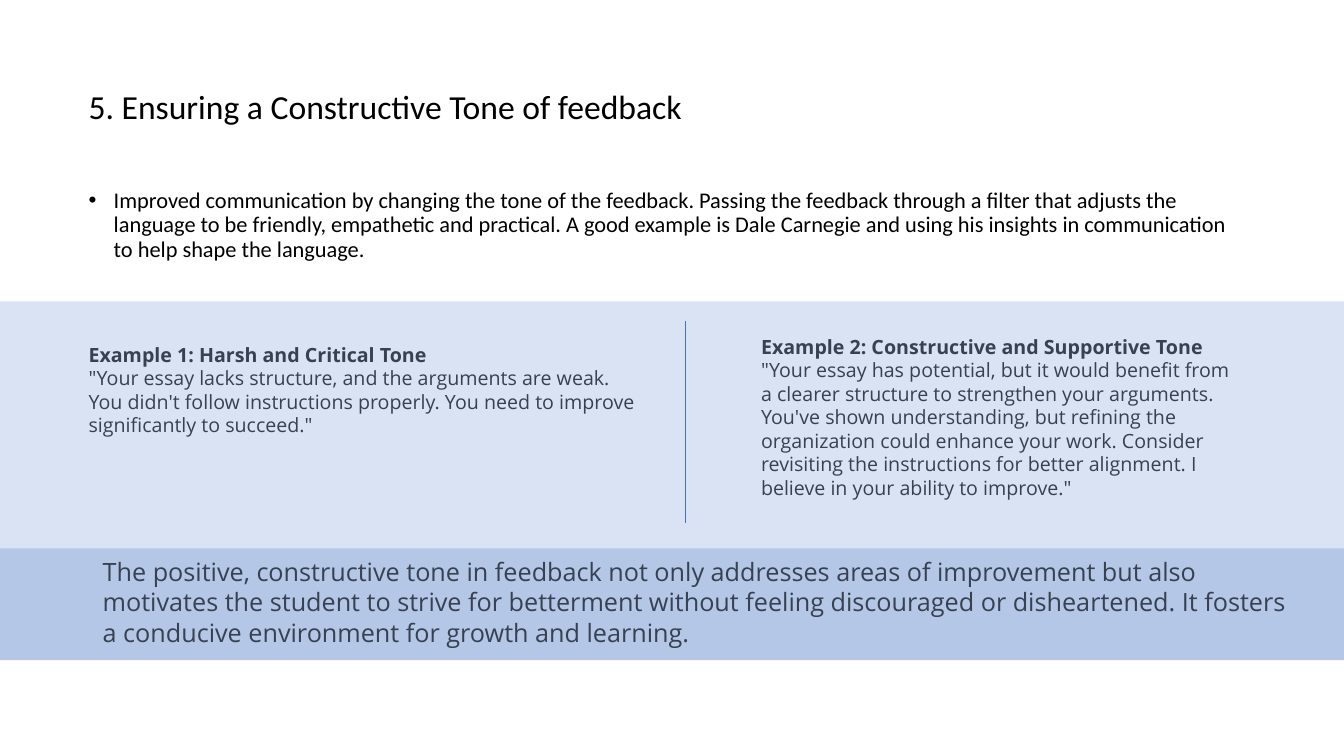
"""Builds a slide on giving feedback in a constructive tone."""
from lxml import etree
from pptx import Presentation
from pptx.dml.color import RGBColor
from pptx.enum.shapes import MSO_CONNECTOR, MSO_SHAPE
from pptx.enum.text import MSO_ANCHOR
from pptx.oxml.ns import qn
from pptx.util import Inches, Pt

RECTANGLE = MSO_SHAPE.RECTANGLE
STRAIGHT = MSO_CONNECTOR.STRAIGHT
TOP, MIDDLE = MSO_ANCHOR.TOP, MSO_ANCHOR.MIDDLE

TITLE = "5. Ensuring a Constructive Tone of feedback"
INTRO = (
    "Improved communication by changing the tone of the feedback. Passing the feedback "
    "through a filter that adjusts the language to be friendly, empathetic and practical. "
    "A good example is Dale Carnegie and using his insights in communication to help "
    "shape the language."
)
EXAMPLES = [
    {
        "heading": "Example 1: Harsh and Critical Tone",
        "quote": "\"Your essay lacks structure, and the arguments are weak. You didn't follow "
                 "instructions properly. You need to improve significantly to succeed.\"",
        "box": (0.78, 3.35, 5.68, 1.04),
    },
    {
        "heading": "Example 2: Constructive and Supportive Tone",
        "quote": "\"Your essay has potential, but it would benefit from a clearer structure to "
                 "strengthen your arguments. You've shown understanding, but refining the "
                 "organization could enhance your work. Consider revisiting the instructions "
                 "for better alignment. I believe in your ability to improve.\"",
        "box": (7.45, 3.27, 4.97, 1.51),
    },
]
CONCLUSION = (
    "The positive, constructive tone in feedback not only addresses areas of improvement "
    "but also motivates the student to strive for betterment without feeling discouraged "
    "or disheartened. It fosters a conducive environment for growth and learning."
)

THEME = {
    "title": ("Calibri", 24, "000000"),
    "intro": ("Calibri", 16, "000000"),
    "example": ("Open Sans", 14, "374151"),
    "conclusion": ("Open Sans", 18, "374151"),
    "conclusion_band": "B4C7E7",
    "example_band": "DAE3F3",
    "divider": "4472C4",
}
SLIDE_WIDTH, SLIDE_HEIGHT = 13.33, 7.5
BANDS = [("conclusion_band", 5.19, 1.36), ("example_band", 2.99, 2.45)]
DIVIDER_X, DIVIDER_TOP, DIVIDER_BOTTOM = 6.8, 3.18, 5.19


def add_band(slide, color, top, height):
    band = slide.shapes.add_shape(
        RECTANGLE, 0, Inches(top), Inches(SLIDE_WIDTH), Inches(height))
    band.shadow.inherit = False
    band.fill.solid()
    band.fill.fore_color.rgb = RGBColor.from_string(THEME[color])
    band.line.fill.background()


def add_text(slide, box, lines, style, anchor=TOP, spacing=1.0):
    font_name, size, color = THEME[style]
    frame = slide.shapes.add_textbox(*map(Inches, box)).text_frame
    frame.word_wrap = True
    frame.vertical_anchor = anchor
    frame.text = "\n".join(lines)
    for paragraph in frame.paragraphs:
        paragraph.line_spacing = spacing
        font = paragraph.runs[0].font
        font.name, font.size = font_name, Pt(size)
        font.color.rgb = RGBColor.from_string(color)
    return frame


def add_bullet(paragraph, indent):
    properties = paragraph._p.get_or_add_pPr()
    properties.set("marL", str(Inches(indent)))
    properties.set("indent", str(-Inches(indent)))
    etree.SubElement(properties, qn("a:buFont")).set("typeface", "Arial")
    etree.SubElement(properties, qn("a:buChar")).set("char", "•")


def add_divider(slide):
    divider = slide.shapes.add_connector(
        STRAIGHT, Inches(DIVIDER_X), Inches(DIVIDER_TOP),
        Inches(DIVIDER_X), Inches(DIVIDER_BOTTOM))
    divider.line.color.rgb = RGBColor.from_string(THEME["divider"])
    divider.line.width = Pt(0.5)
    etree.SubElement(divider._element.spPr, qn("a:effectLst"))


def main():
    deck = Presentation()
    deck.slide_width, deck.slide_height = Inches(SLIDE_WIDTH), Inches(SLIDE_HEIGHT)
    slide = deck.slides.add_slide(deck.slide_layouts[6])

    for band in BANDS:
        add_band(slide, *band)
    add_text(slide, (0.78, 0.35, 11.5, 1.45), [TITLE], "title", MIDDLE, 0.9)
    intro = add_text(slide, (0.78, 1.83, 11.5, 1.1), [INTRO], "intro", spacing=0.9)
    add_bullet(intro.paragraphs[0], 0.25)
    for example in EXAMPLES:
        lines = [example["heading"], example["quote"]]
        frame = add_text(slide, example["box"], lines, "example")
        frame.paragraphs[0].runs[0].font.bold = True
    add_divider(slide)
    add_text(slide, (0.92, 5.47, 12.11, 1.01), [CONCLUSION], "conclusion")

    deck.save("out.pptx")


if __name__ == "__main__":
    main()
